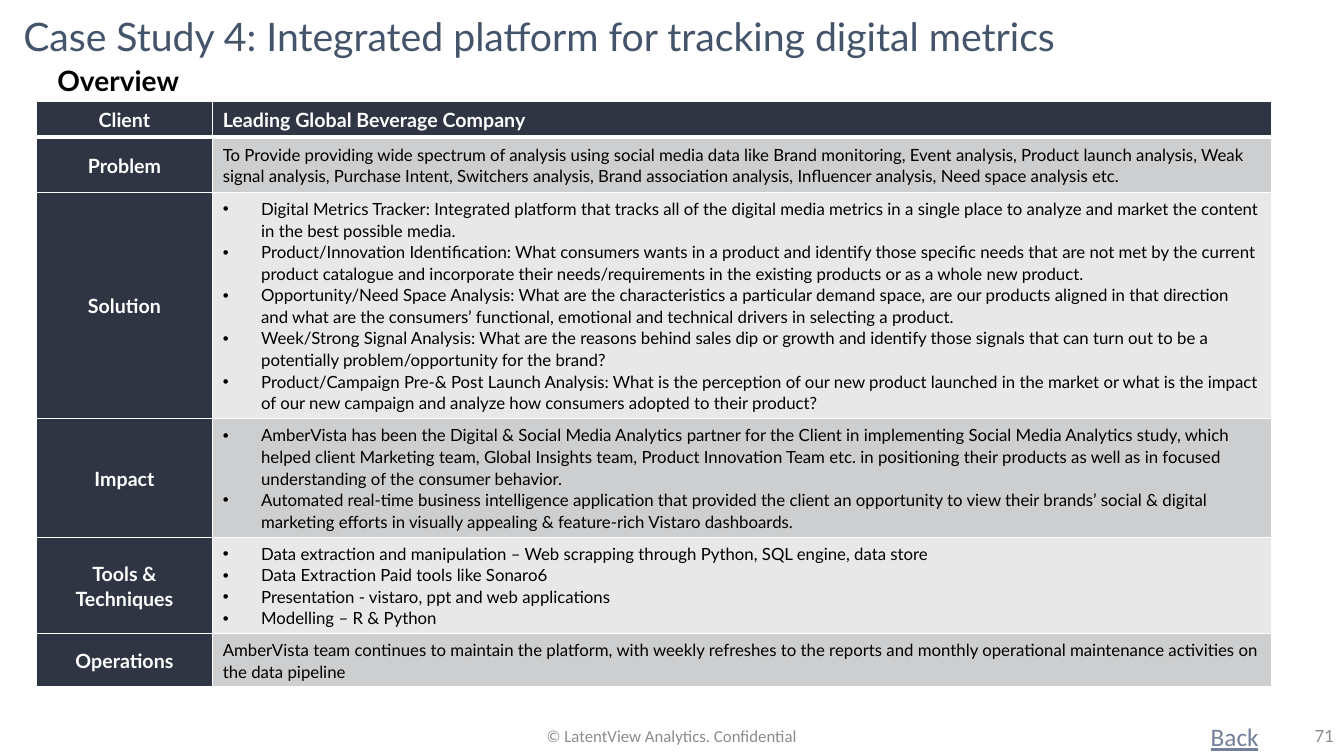
from lxml import etree
from pptx import Presentation
from pptx.dml.color import RGBColor
from pptx.enum.text import MSO_ANCHOR, PP_ALIGN
from pptx.oxml.ns import qn
from pptx.util import Inches, Pt

LEFT, CENTER, RIGHT = PP_ALIGN.LEFT, PP_ALIGN.CENTER, PP_ALIGN.RIGHT
TOP, MIDDLE = MSO_ANCHOR.TOP, MSO_ANCHOR.MIDDLE
SLIDE_WIDTH, SLIDE_HEIGHT = Inches(13.33), Inches(7.5)
NAVY, WHITE, BLACK, GRAY = "2F3542", "FFFFFF", "000000", "8C8C8C"
BANDS = "CDCECF", "E8E8E9"
COLUMN_SHARES = 13.13, 78.77
LINE_SPACING = 1.07

CASE_ROWS = [
    ("Client", 4.67, "Leading Global Beverage Company"),
    ("Problem", 7.33,
     "To Provide providing wide spectrum of analysis using social media data like Brand monitoring, Event analysis, "
     "Product launch analysis, Weak signal analysis, Purchase Intent, Switchers analysis, Brand association analysis, "
     "Influencer analysis, Need space analysis etc."),
    ("Solution", 29.87, [
        "Digital Metrics Tracker: Integrated platform that tracks all of the digital media metrics in a single place "
        "to analyze and market the content in the best possible media.",
        "Product/Innovation Identification: What consumers wants in a product and identify those specific needs that "
        "are not met by the current product catalogue and incorporate their needs/requirements in the existing "
        "products or as a whole new product.",
        "Opportunity/Need Space Analysis: What are the characteristics a particular demand space, are our products "
        "aligned in that direction and what are the consumers’ functional, emotional and technical drivers in "
        "selecting a product.",
        "Week/Strong Signal Analysis: What are the reasons behind sales dip or growth and identify those signals that "
        "can turn out to be a potentially problem/opportunity for the brand?",
        "Product/Campaign Pre-& Post Launch Analysis: What is the perception of our new product launched in the "
        "market or what is the impact of our new campaign and analyze how consumers adopted to their product?",
    ]),
    ("Impact", 15.73, [
        "AmberVista has been the Digital & Social Media Analytics partner for the Client in implementing Social Media "
        "Analytics study, which helped client Marketing team, Global Insights team, Product Innovation Team etc. in "
        "positioning their products as well as in focused understanding of the consumer behavior.",
        "Automated real-time business intelligence application that provided the client an opportunity to view their "
        "brands’ social & digital marketing efforts in visually appealing & feature-rich Vistaro dashboards.",
    ]),
    ("Tools & Techniques", 12.67, [
        "Data extraction and manipulation – Web scrapping through Python, SQL engine, data store",
        "Data Extraction Paid tools like Sonaro6",
        "Presentation - vistaro, ppt and web applications",
        "Modelling – R & Python",
    ]),
    ("Operations", 7.07,
     "AmberVista team continues to maintain the platform, with weekly refreshes to the reports and monthly "
     "operational maintenance activities on the data pipeline"),
]


def color(value):
    return RGBColor.from_string(value)


def across(share):
    return round(SLIDE_WIDTH * share / 100)


def down(share):
    return round(SLIDE_HEIGHT * share / 100)


def area(left, top, width, height):
    return across(left), down(top), across(width), down(height)


def style(para, size, tint, font="Lato", bold=False, underline=False, align=LEFT, spacing=1.0):
    para.alignment = align
    para.line_spacing = spacing
    for span in para.runs:
        span.font.name = font
        span.font.size = Pt(size)
        span.font.bold = bold
        span.font.underline = underline
        span.font.color.rgb = color(tint)


def add_title(page, text):
    title = page.shapes.title
    title.left, title.top, title.width, title.height = area(0.98, 0, 91.9, 10.27)
    title.text_frame.text = text
    title.text_frame.vertical_anchor = MIDDLE
    style(title.text_frame.paragraphs[0], 28, "44546A", spacing=0.9)


def add_label(page, text, place, size, tint, anchor=TOP, **look):
    frame = page.shapes.add_textbox(*area(*place)).text_frame
    frame.word_wrap = True
    frame.vertical_anchor = anchor
    frame.text = text
    style(frame.paragraphs[0], size, tint, **look)


def add_bullet(para):
    properties = para._p.get_or_add_pPr()
    properties.set("marL", str(Inches(0.38)))
    properties.set("indent", str(-Inches(0.38)))
    etree.SubElement(properties, qn("a:buFont"), typeface="Arial")
    etree.SubElement(properties, qn("a:buChar"), char="•")


def add_borders(cell, bottom):
    properties = cell._tc.get_or_add_tcPr()
    for side, width in (("L", 1), ("R", 1), ("T", 1), ("B", bottom)):
        line = etree.SubElement(properties, qn("a:ln" + side), w=str(Pt(width)))
        fill = etree.SubElement(line, qn("a:solidFill"))
        etree.SubElement(fill, qn("a:srgbClr"), val=WHITE)


def fill_cell(cell, content, background, bottom, size, tint, bold, align):
    add_borders(cell, bottom)
    cell.fill.solid()
    cell.fill.fore_color.rgb = color(background)
    cell.vertical_anchor = MIDDLE
    bulleted = isinstance(content, list)
    cell.text_frame.text = "\n".join(content) if bulleted else content
    for para in cell.text_frame.paragraphs:
        if bulleted:
            add_bullet(para)
        style(para, size, tint, bold=bold, align=align, spacing=LINE_SPACING)


def add_case_table(page):
    height = sum(share for _, share, _ in CASE_ROWS)
    place = area(2.7, 13.47, sum(COLUMN_SHARES), height)
    table = page.shapes.add_table(len(CASE_ROWS), len(COLUMN_SHARES), *place).table
    for column, share in zip(table.columns, COLUMN_SHARES):
        column.width = across(share)
    for index, (heading, share, content) in enumerate(CASE_ROWS):
        table.rows[index].height = down(share)
        header = index == 0
        bottom = 3 if header else 1
        fill_cell(table.cell(index, 0), heading, NAVY, bottom, 14, WHITE, True, CENTER)
        if header:
            fill_cell(table.cell(index, 1), content, NAVY, bottom, 14, WHITE, True, LEFT)
        else:
            fill_cell(table.cell(index, 1), content, BANDS[(index - 1) % 2], bottom, 12, BLACK, False, LEFT)


def main():
    deck = Presentation()
    deck.slide_width, deck.slide_height = SLIDE_WIDTH, SLIDE_HEIGHT
    page = deck.slides.add_slide(deck.slide_layouts.get_by_name("Title Only"))
    add_title(page, "Case Study 4: Integrated platform for tracking digital metrics")
    add_label(page, "Overview", (3.53, 7.73, 26.86, 5.87), 20, BLACK, bold=True)
    add_case_table(page)
    add_label(page, "Back", (89.35, 94.8, 10.65, 5.2), 18, "73809B", font="Calibri", underline=True)
    add_label(page, "© LatentView Analytics. Confidential", (33.1, 94.67, 33.76, 5.33), 12, GRAY,
              anchor=MIDDLE, font="Calibri", align=CENTER)
    add_label(page, "71", (77.5, 94.67, 22.5, 5.33), 12, GRAY, anchor=MIDDLE, align=RIGHT)
    deck.save("out.pptx")


if __name__ == "__main__":
    main()
